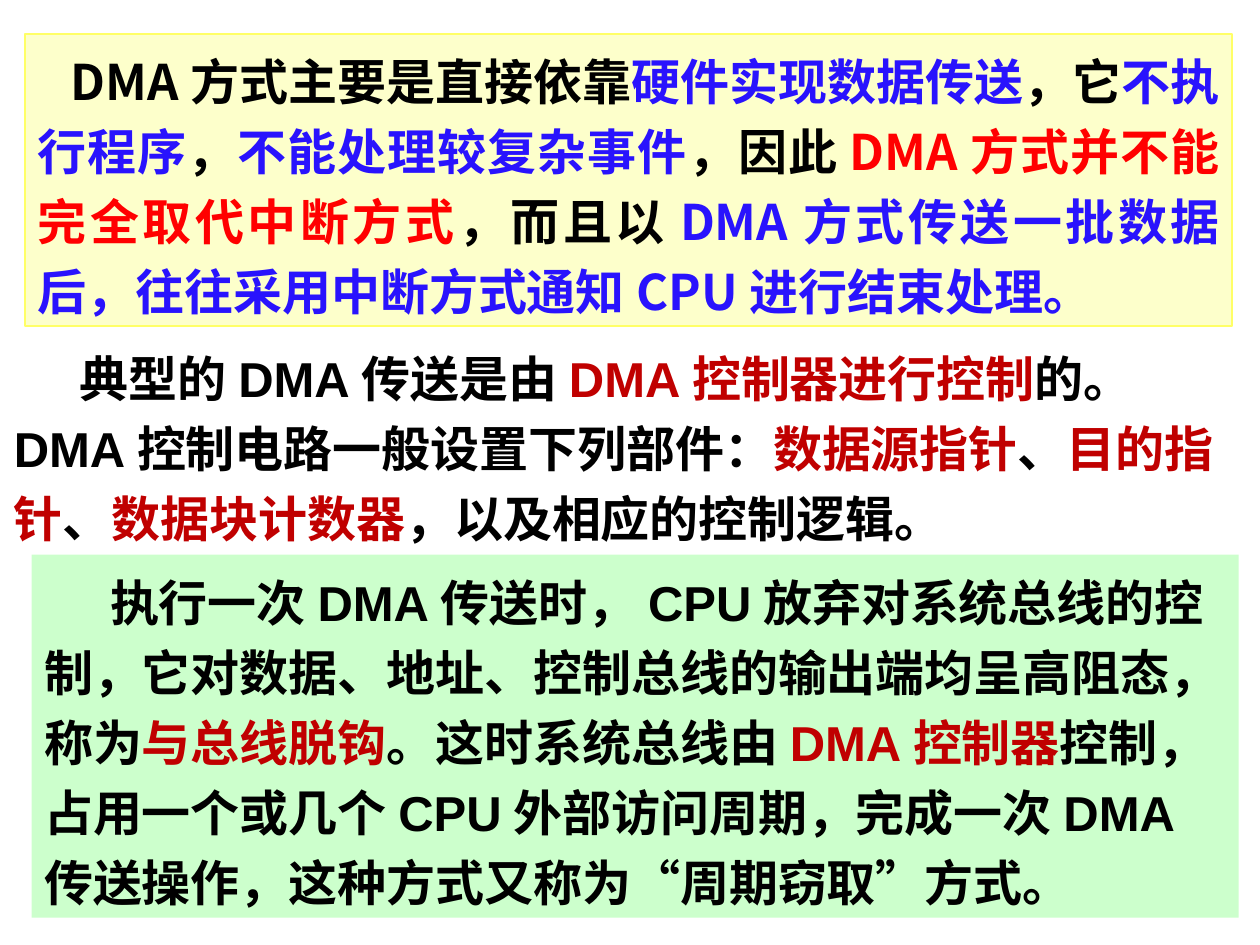
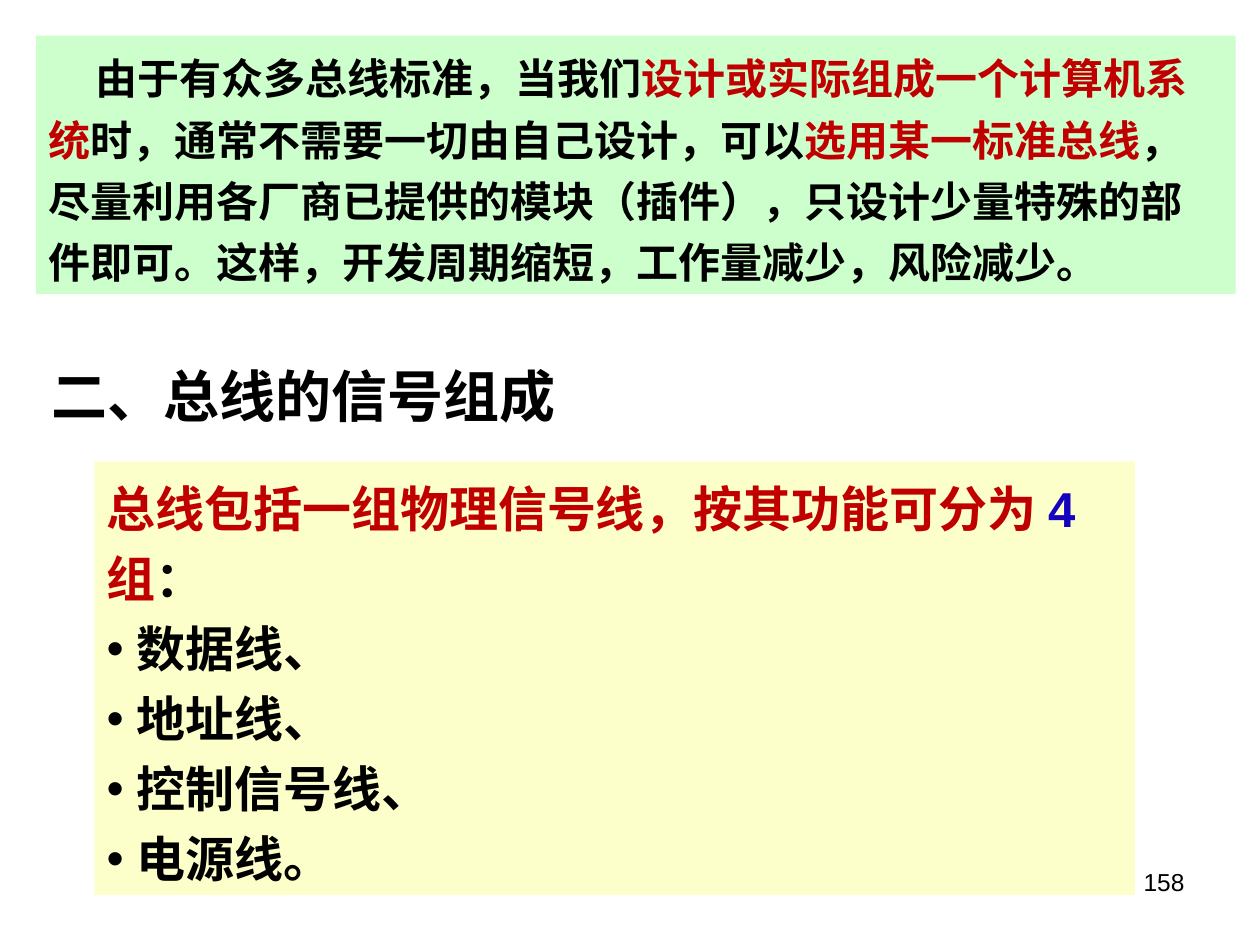
from dataclasses import dataclass

from lxml import etree
from pptx import Presentation
from pptx.dml.color import RGBColor
from pptx.enum import shapes, text
from pptx.oxml.ns import qn
from pptx.util import Cm, Pt


@dataclass(frozen=True)
class Theme:
    """Colours, fonts and type sizes shared by the slides."""
    ink: str = "000000"
    blue: str = "2913FD"
    navy: str = "1402BE"
    red: str = "FF0000"
    crimson: str = "C00000"
    cream: str = "FDFFCB"
    mint: str = "CCFFCC"
    yellow: str = "FFFF66"
    latin: str = "Arial"
    chinese: str = "Noto Sans CJK SC"
    heading: int = 32
    body: int = 28
    compact: int = 24
    footer: int = 14


T = Theme()
LEADING = {T.body: Pt(40), T.compact: Pt(35)}
BULLET_INDENT = 0.6


def apply(target, formats):
    """Set every attribute named in formats on target."""
    for key, value in formats.items():
        setattr(target, key, value)


def place(item, box):
    """Move an item to a box of left, top, width and height in centimetres."""
    apply(item, dict(zip(("left", "top", "width", "height"), map(Cm, box))))


def prepare_frame(frame):
    """Give a text frame the common inset, anchor and fixed size."""
    apply(frame, {
        "word_wrap": True,
        "auto_size": text.MSO_AUTO_SIZE.NONE,
        "vertical_anchor": text.MSO_ANCHOR.TOP,
        "margin_left": Cm(0.25), "margin_right": Cm(0.25),
        "margin_top": Cm(0.13), "margin_bottom": Cm(0.13),
    })


def set_bullet(paragraph, bulleted, indent):
    """Set the hanging bullet or the first-line indent of a paragraph."""
    props = paragraph._p.get_or_add_pPr()
    hang = BULLET_INDENT if bulleted else 0
    props.set("marL", str(Cm(hang)))
    props.set("indent", str(Cm(indent - hang)))
    props.set("hangingPunct", "0")
    if not bulleted:
        etree.SubElement(props, qn("a:buNone"))
        return
    colour = etree.SubElement(props, qn("a:buClr"))
    etree.SubElement(colour, qn("a:srgbClr"), val=T.ink)
    etree.SubElement(props, qn("a:buFont"), typeface=T.latin)
    etree.SubElement(props, qn("a:buChar"), char="•")


def write(paragraph, runs, size=T.body, indent=0, bulleted=False, bold=True,
          latin=T.latin, align=text.PP_ALIGN.LEFT):
    """Fill a paragraph with (wording, colour) runs."""
    set_bullet(paragraph, bulleted, indent)
    apply(paragraph, {"alignment": align, "space_before": Pt(0),
                      "line_spacing": LEADING.get(size, 1.0)})
    for wording, colour in runs:
        run = paragraph.add_run()
        run.text = wording
        apply(run.font, {"size": Pt(size), "bold": bold, "name": latin})
        run.font.color.rgb = RGBColor.from_string(colour)
        etree.SubElement(run._r.get_or_add_rPr(), qn("a:ea"), typeface=T.chinese)


def paint(item, fill):
    """Fill an item with a solid colour."""
    item.fill.solid()
    item.fill.fore_color.rgb = RGBColor.from_string(fill)


def add_panel(slide, box, runs, fill, border=None, **formats):
    """Add a filled rectangle holding one paragraph."""
    panel = slide.shapes.add_shape(shapes.MSO_SHAPE.RECTANGLE, *map(Cm, box))
    panel.shadow.inherit = False
    paint(panel, fill)
    if border:
        panel.line.color.rgb = RGBColor.from_string(border)
        panel.line.width = Pt(1)
    else:
        panel.line.fill.background()
    prepare_frame(panel.text_frame)
    write(panel.text_frame.paragraphs[0], runs, **formats)


def add_passage(slide, box, runs, **formats):
    """Add one paragraph without a background."""
    passage = slide.shapes.add_textbox(*map(Cm, box))
    prepare_frame(passage.text_frame)
    write(passage.text_frame.paragraphs[0], runs, **formats)


def add_heading(slide, box, wording):
    """Format the title placeholder as a section heading."""
    heading = slide.shapes.title
    place(heading, box)
    prepare_frame(heading.text_frame)
    write(heading.text_frame.paragraphs[0], [(wording, T.ink)], size=T.heading)


def add_signal_list(slide, box, lead, signals):
    """Fill the body placeholder with a lead line and its bullets."""
    signal_list = slide.placeholders[1]
    place(signal_list, box)
    paint(signal_list, T.cream)
    frame = signal_list.text_frame
    prepare_frame(frame)
    write(frame.paragraphs[0], lead)
    for signal in signals:
        write(frame.add_paragraph(), [(signal, T.ink)], bulleted=True)


def build_dma_slide(deck):
    """Build the slide on DMA transfer."""
    slide = deck.slides.add_slide(deck.slide_layouts[6])
    add_panel(slide, (0.51, 0.69, 24.33, 5.89), [
        ("DMA方式主要是直接依靠", T.ink),
        ("硬件实现数据传送", T.blue),
        ("，它", T.ink),
        ("不执行程序", T.blue),
        ("，", T.ink),
        ("不能处理较复杂事件", T.blue),
        ("，因此", T.ink),
        ("DMA方式并不能完全取代中断方式", T.red),
        ("，而且以", T.ink),
        ("DMA方式传送一批数据后，往往采用中断方式通知CPU进行结束处理。", T.blue),
    ], T.cream, T.yellow, indent=0.66, latin=T.chinese, align=text.PP_ALIGN.JUSTIFY)
    add_passage(slide, (0.03, 6.68, 24.89, 4.5), [
        ("典型的DMA传送是由", T.ink),
        ("DMA控制器进行控制", T.crimson),
        ("的。DMA控制电路一般设置下列部件：", T.ink),
        ("数据源指针", T.crimson),
        ("、", T.ink),
        ("目的指针", T.crimson),
        ("、", T.ink),
        ("数据块计数器", T.crimson),
        ("，以及相应的控制逻辑。", T.ink),
    ], indent=1.33)
    add_panel(slide, (0.64, 11.18, 24.33, 7.32), [
        ("执行一次DMA传送时，CPU放弃对系统总线的控制，它对数据、地址、"
         "控制总线的输出端均呈高阻态，称为", T.ink),
        ("与总线脱钩", T.crimson),
        ("。这时系统总线由", T.ink),
        ("DMA控制器", T.crimson),
        ("控制，占用一个或几个CPU外部访问周期，完成一次DMA传送操作，"
         "这种方式又称为“周期窃取”方式。", T.ink),
    ], T.mint, indent=1.33)


def build_bus_slide(deck):
    """Build the slide on bus standards and signal groups."""
    slide = deck.slides.add_slide(deck.slide_layouts[1])
    add_panel(slide, (0.73, 0.72, 24.18, 5.21), [
        ("由于有众多总线标准，当我们", T.ink),
        ("设计或实际组成一个计算机系统", T.crimson),
        ("时，通常不需要一切由自己设计，可以", T.ink),
        ("选用某一标准总线", T.crimson),
        ("，尽量利用各厂商已提供的模块（插件），只设计少量特殊的部件即可。"
         "这样，开发周期缩短，工作量减少，风险减少。", T.ink),
    ], T.mint, size=T.compact, indent=0.95)
    add_heading(slide, (0.79, 7.15, 12, 1.63), "二、总线的信号组成")
    add_signal_list(slide, (1.9, 9.3, 20.98, 8.74), [
        ("总线包括一组物理信号线，按其功能可分为", T.crimson),
        ("4", T.navy),
        ("组", T.crimson),
        ("：", T.ink),
    ], ["数据线、", "地址线、", "控制信号线、", "电源线。"])
    add_passage(slide, (18.21, 17.35, 5.92, 1.32), [("158", T.ink)],
                size=T.footer, bold=False, align=text.PP_ALIGN.RIGHT)


def main():
    """Build the deck and save it."""
    deck = Presentation()
    apply(deck, {"slide_width": Cm(25.4), "slide_height": Cm(19.05)})
    build_dma_slide(deck)
    build_bus_slide(deck)
    deck.save("out.pptx")


if __name__ == "__main__":
    main()
